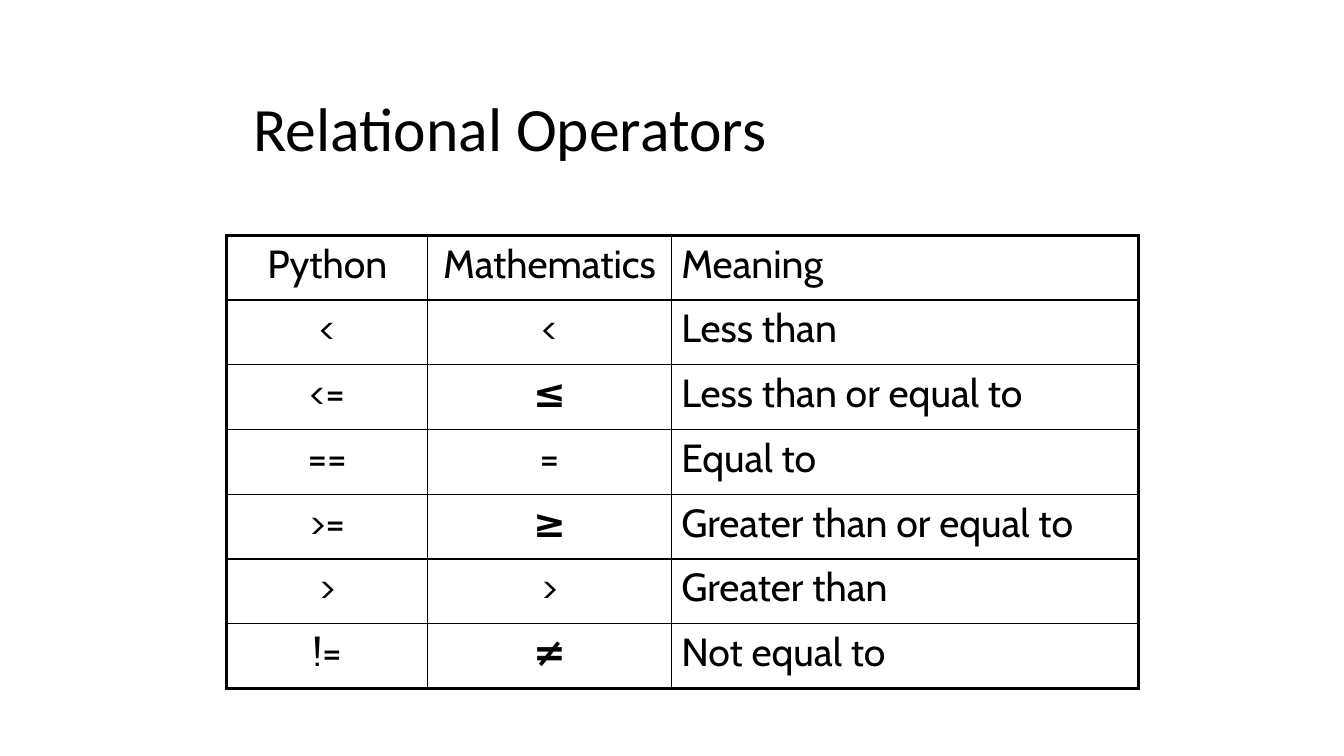
from dataclasses import dataclass
from lxml.etree import SubElement
from pptx import Presentation
from pptx.dml.color import RGBColor
from pptx.enum.text import MSO_ANCHOR, PP_ALIGN
from pptx.oxml.ns import qn
from pptx.util import Pt


@dataclass(frozen=True)
class Theme:
    ink: str = "000000"
    head: str = "Calibri"
    body: str = "Cabin"
    big: int = 44
    text: int = 28
    thin: float = 1
    thick: float = 2.25


theme = Theme()
COLS = (143.5, 174, 333.5)
ROWS = (
    ("Python", "Mathematics", "Meaning"),
    ("<", "<", "Less than"),
    ("<=", "≤", "Less than or equal to"),
    ("==", "=", "Equal to"),
    (">=", "≥", "Greater than or equal to"),
    (">", ">", "Greater than"),
    ("!=", "≠", "Not equal to"),
)


def add_run(para, text, font, size, bold=False):
    run = para.add_run()
    run.text = text
    run.font.name = font
    run.font.size = Pt(size)
    run.font.bold = bold
    run.font.color.rgb = RGBColor.from_string(theme.ink)


def add_edge(cell, side, width):
    line = SubElement(cell._tc.get_or_add_tcPr(), qn(f"a:ln{side}"), w=str(Pt(width)))
    fill = SubElement(line, qn("a:solidFill"))
    SubElement(fill, qn("a:srgbClr"), val=theme.ink)


def add_title(slide, box, text):
    frame = slide.shapes.add_textbox(*map(Pt, box)).text_frame
    frame.word_wrap = True
    frame.vertical_anchor = MSO_ANCHOR.MIDDLE
    para = frame.paragraphs[0]
    para.line_spacing = 0.9
    add_run(para, text, theme.head, theme.big)


def add_grid(slide, box, rows, cols):
    table = slide.shapes.add_table(len(rows), len(cols), *map(Pt, box)).table
    table.first_row = table.horz_banding = False
    # Columns share the box width in proportion, rows share its height
    for col, width in zip(table.columns, cols):
        col.width = Pt(box[2] * width / sum(cols))
    for row in table.rows:
        row.height = Pt(box[3] / len(rows))

    for r, row in enumerate(rows):
        for c, text in enumerate(row):
            cell = table.cell(r, c)
            # Thick lines on the outer frame, thin lines inside
            outer = {"L": c == 0, "R": c == len(cols) - 1,
                     "T": r == 0, "B": r == len(rows) - 1}
            for side, edge in outer.items():
                add_edge(cell, side, theme.thick if edge else theme.thin)
            cell.fill.background()
            para = cell.text_frame.paragraphs[0]
            para.alignment = PP_ALIGN.LEFT if outer["R"] else PP_ALIGN.CENTER
            add_run(para, text, theme.body, theme.text, bold=text in "≤≥≠")


deck = Presentation()
deck.slide_width, deck.slide_height = Pt(960), Pt(540)
slide = deck.slides.add_slide(deck.slide_layouts[6])
add_title(slide, (174, 49, 613.5, 90), "Relational Operators")
add_grid(slide, (162, 168, 651, 324), ROWS, COLS)
deck.save("out.pptx")
